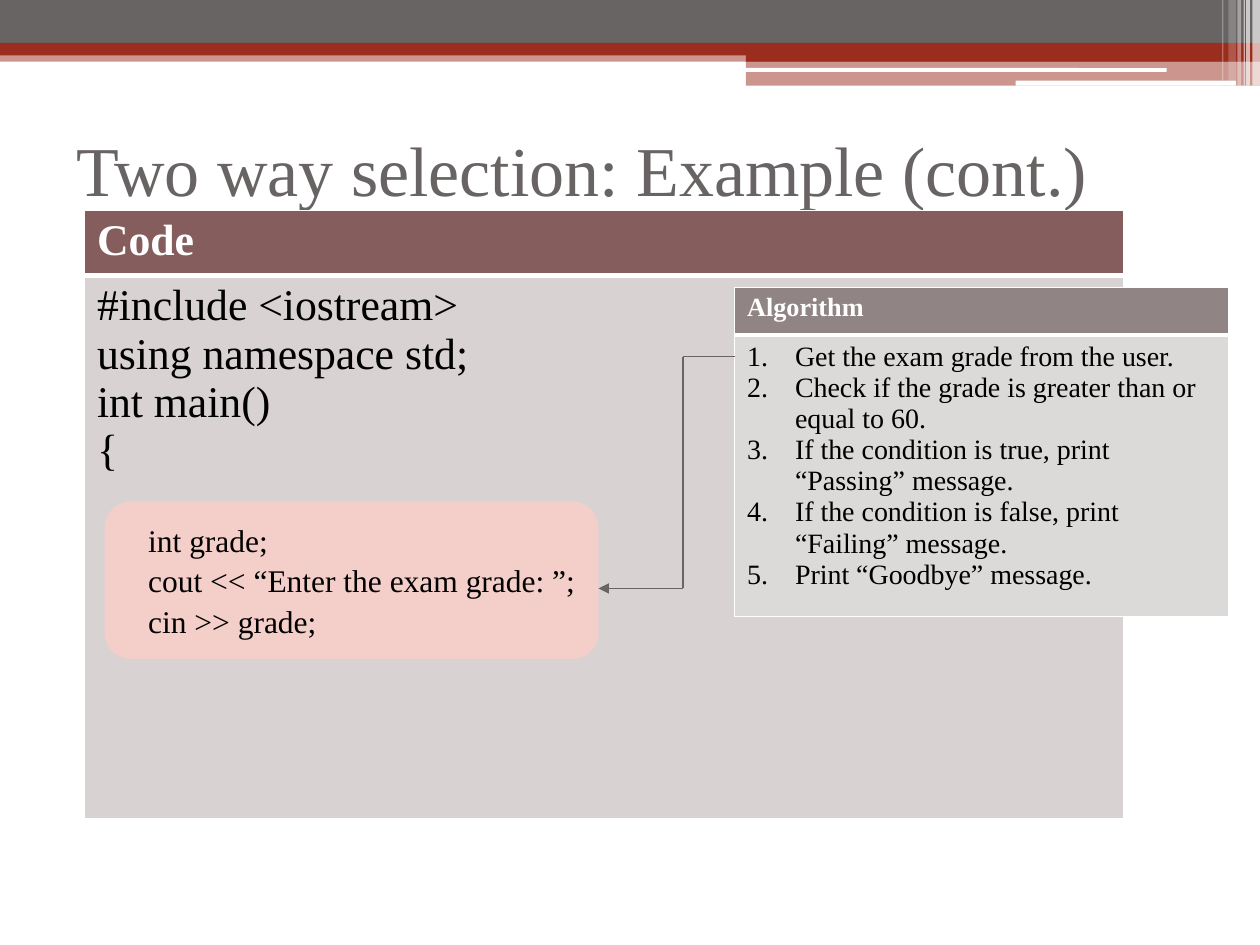
from lxml import etree
from pptx import Presentation
from pptx.dml.color import RGBColor
from pptx.enum.shapes import MSO_CONNECTOR, MSO_SHAPE
from pptx.enum.text import MSO_ANCHOR, PP_ALIGN
from pptx.oxml.ns import qn
from pptx.util import Inches, Pt

RECTANGLE = MSO_SHAPE.RECTANGLE
ROUNDED = MSO_SHAPE.ROUNDED_RECTANGLE
STRAIGHT = MSO_CONNECTOR.STRAIGHT
MIDDLE = MSO_ANCHOR.MIDDLE
LEFT = PP_ALIGN.LEFT

FONT = "Times New Roman"
COLORS = {
    "gray": "696464",
    "red": "9B2D1F",
    "white": "FFFFFF",
    "black": "000000",
    "code_header": "855D5D",
    "code_body": "D9D2D2",
    "algorithm_header": "918485",
    "algorithm_body": "DCD9D9",
    "highlight": "F4CEC9",
}

# left, top, width, height, color, opacity in percent
BANDS = [
    (0, 0.4, 10, 0.09, "red", 50),
    (0, 0, 10, 0.34, "gray", 100),
    (0, 0.34, 10, 0.1, "red", 100),
    (5.92, 0.39, 4.08, 0.1, "red", 100),
    (5.92, 0.48, 4.08, 0.2, "red", 50),
]
WHITE_BARS = [(5.91, 0.54, 3.35, 0.03), (8.06, 0.64, 1.75, 0.04)]
# left, width, height, opacity in percent
STRIPES = [
    (9.94, 0.06, 0.68, 65),
    (9.89, 0.03, 0.68, 65),
    (9.87, 0.01, 0.68, 60),
    (9.82, 0.03, 0.68, 40),
    (9.75, 0.06, 0.64, 20),
    (9.7, 0.01, 0.64, 30),
]

CODE = ["#include <iostream>", "using namespace std;", "int main()", "{"]
INPUT_CODE = [
    "   int grade;",
    "   cout << “Enter the exam grade: ”;",
    "   cin >> grade;",
]
ALGORITHM = [
    "Get the exam grade from the user.",
    "Check if the grade is greater than or equal to 60.",
    "If the condition is true, print “Passing” message.",
    "If the condition is false, print “Failing” message.",
    "Print “Goodbye” message.",
]


def rgb(name):
    return RGBColor.from_string(COLORS[name])


def add_block(slide, kind, box, color, opacity=100):
    """Add a borderless filled shape; box is left, top, width, height."""
    shape = slide.shapes.add_shape(kind, *map(Inches, box))
    shape.shadow.inherit = False
    shape.line.fill.background()
    shape.fill.solid()
    shape.fill.fore_color.rgb = rgb(color)
    if opacity < 100:
        fill_color = shape.fill._xPr.find(qn("a:solidFill"))[0]
        etree.SubElement(fill_color, qn("a:alpha"), val=str(opacity * 1000))
    return shape


def write_lines(text_frame, lines, size, color, bold=False):
    text_frame.word_wrap = True
    text_frame.text = "\n".join(lines)
    for paragraph in text_frame.paragraphs:
        paragraph.alignment = LEFT
        for run in paragraph.runs:
            run.font.name = FONT
            run.font.size = Pt(size)
            run.font.bold = bold
            run.font.color.rgb = rgb(color)


def number_paragraphs(text_frame):
    indent = Inches(0.38)
    for paragraph in text_frame.paragraphs:
        properties = paragraph._p.get_or_add_pPr()
        properties.set("marL", str(indent))
        properties.set("indent", str(-indent))
        etree.SubElement(properties, qn("a:buFont"), typeface="+mj-lt")
        etree.SubElement(properties, qn("a:buAutoNum"), type="arabicPeriod")


def set_borders(cell, top, bottom):
    """Give a cell white borders: 1 pt at the sides, top and bottom as given."""
    properties = cell._tc.get_or_add_tcPr()
    for index, (side, width) in enumerate(
        [("lnL", 1), ("lnR", 1), ("lnT", top), ("lnB", bottom)]
    ):
        line = etree.Element(qn(f"a:{side}"), w=str(Pt(width)))
        fill = etree.SubElement(line, qn("a:solidFill"))
        etree.SubElement(fill, qn("a:srgbClr"), val=COLORS["white"])
        properties.insert(index, line)


def add_panel(slide, position, width, heights, name, heading, lines, sizes):
    """Add a one-column table with a heading row and return its body cell."""
    left, top = position
    frame = slide.shapes.add_table(
        2, 1, Inches(left), Inches(top), Inches(width), Inches(sum(heights))
    )
    table = frame.table
    rows = [
        ([heading], "white", True, f"{name}_header", (1, 3)),
        (lines, "black", False, f"{name}_body", (3, 1)),
    ]
    for index, (text, color, bold, fill, borders) in enumerate(rows):
        table.rows[index].height = Inches(heights[index])
        cell = table.cell(index, 0)
        cell.fill.solid()
        cell.fill.fore_color.rgb = rgb(fill)
        set_borders(cell, *borders)
        write_lines(cell.text_frame, text, sizes[index], color, bold)
    return table.cell(1, 0)


def add_line(slide, start, end, arrow=False):
    line = slide.shapes.add_connector(STRAIGHT, *map(Inches, start + end))
    line.line.color.rgb = rgb("gray")
    line.line.width = Pt(0.75)
    if arrow:
        etree.SubElement(line.line._get_or_add_ln(), qn("a:tailEnd"), type="triangle")
    etree.SubElement(line._element.spPr, qn("a:effectLst"))


def add_header_decoration(slide):
    for *box, color, opacity in BANDS:
        add_block(slide, RECTANGLE, box, color, opacity)
    for box in WHITE_BARS:
        add_block(slide, ROUNDED, box, "white")
    for left, width, height, opacity in STRIPES:
        add_block(slide, RECTANGLE, (left, 0, width, height), "white", opacity)


def add_title(slide, text):
    title = slide.shapes.add_textbox(
        Inches(0.51), Inches(0.75), Inches(9), Inches(1.17)
    )
    title.text_frame.vertical_anchor = MIDDLE
    write_lines(title.text_frame, [text], 40, "gray")


def add_input_code(slide):
    shape = add_block(slide, ROUNDED, (0.83, 3.98, 3.92, 1.25), "highlight")
    shape.text_frame.vertical_anchor = MIDDLE
    write_lines(shape.text_frame, INPUT_CODE, 18, "black")
    for paragraph in shape.text_frame.paragraphs[1:]:
        paragraph.space_before = Pt(1.5)


def main():
    presentation = Presentation()
    presentation.slide_width = Inches(10)
    presentation.slide_height = Inches(7.5)
    slide = presentation.slides.add_slide(presentation.slide_layouts[6])

    add_header_decoration(slide)
    add_title(slide, "Two way selection: Example (cont.)")
    add_panel(slide, (0.67, 1.67), 8.25, (0.48, 4.31), "code", "Code", CODE, (25, 25))
    steps = add_panel(
        slide, (5.83, 2.28), 3.92, (0.38, 2.08),
        "algorithm", "Algorithm", ALGORITHM, (15, 16),
    )
    number_paragraphs(steps.text_frame)
    add_input_code(slide)

    route = [(5.83, 2.83), (5.42, 2.83), (5.42, 4.67), (4.75, 4.67)]
    for start, end in zip(route, route[1:]):
        add_line(slide, start, end, arrow=end == route[-1])

    presentation.save("out.pptx")


if __name__ == "__main__":
    main()
